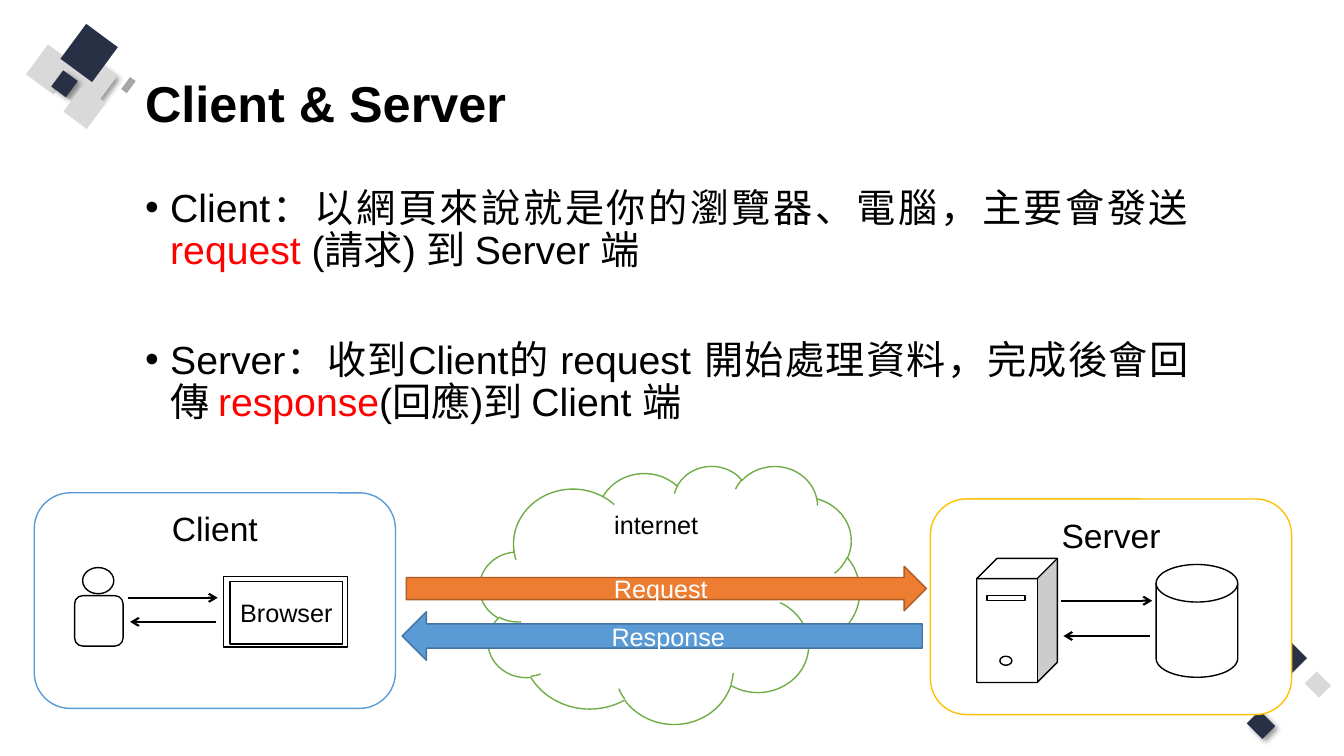
from lxml import etree
from pptx import Presentation
from pptx.dml.color import RGBColor
from pptx.enum.shapes import MSO_CONNECTOR as Link, MSO_SHAPE as Kind
from pptx.enum.text import MSO_ANCHOR as Anchor, PP_ALIGN as Align
from pptx.oxml import parse_xml
from pptx.oxml.ns import nsdecls, qn
from pptx.util import Pt

hue = RGBColor.from_string
NAVY, PALE, GRAY = "273045", "D9D9D9", "A6A6A6"
BLACK, WHITE, RED = "000000", "FFFFFF", "FF0000"

deck = Presentation()
deck.slide_width, deck.slide_height = Pt(960), Pt(540)
slide = deck.slides.add_slide(deck.slide_layouts[6])


def draw(kind, box, fill, line=None, text="", size=18, ink=BLACK, anchor=Anchor.MIDDLE):
    shape = slide.shapes.add_shape(kind, *map(Pt, box))
    shape.shadow.inherit = False
    shape.fill.solid()
    shape.fill.fore_color.rgb = hue(fill)
    if line:
        shape.line.color.rgb = hue(line)
        shape.line.width = Pt(1)
    else:
        shape.line.fill.background()
    if text:
        frame = shape.text_frame
        frame.word_wrap = True
        frame.vertical_anchor = anchor
        para = frame.paragraphs[0]
        para.text = text
        para.alignment = Align.CENTER
        style(para.font, size, ink)
    return shape


def style(font, size, ink):
    font.name = "Arial"
    font.size = Pt(size)
    font.color.rgb = hue(ink)


tiles = [
    (86.4, 58.3, 10.8, 5, 306.4, GRAY, False),
    (23, 37.4, 26.6, 24.5, 306.4, PALE, False),
    (57.6, 47.5, 22.3, 20.2, 306.4, PALE, True),
    (49.7, 43.9, 13.7, 12.2, 306.4, PALE, False),
    (40.3, 47.5, 23.8, 21.6, 306.4, PALE, False),
    (38.9, 53.3, 14.4, 13, 306.4, NAVY, True),
    (48.2, 23.8, 31, 28.1, 306.4, NAVY, False),
    (49, 66.2, 23, 20.9, 306.4, PALE, False),
    (914.4, 460.1, 15.1, 18, 315, NAVY, False),
    (935.3, 481.7, 12.2, 14.4, 315, PALE, False),
    (894.2, 509.8, 13, 15.8, 135, NAVY, True),
]
for *box, turn, fill, shade in tiles:
    tile = draw(Kind.RECTANGLE, box, fill)
    tile.rotation = turn
    if shade:
        glow = tile._element.spPr.find(qn("a:effectLst"))
        glow.append(parse_xml(
            f'<a:outerShdw {nsdecls("a")} blurRad="{Pt(4)}" dist="{Pt(3)}" dir="2700000" '
            'algn="tl" rotWithShape="0"><a:srgbClr val="000000"><a:alpha val="40000"/>'
            '</a:srgbClr></a:outerShdw>'))

title = slide.shapes.add_textbox(Pt(96.5), Pt(28.8), Pt(759.6), Pt(93.6)).text_frame
title.word_wrap = True
title.vertical_anchor = Anchor.MIDDLE
head = title.paragraphs[0]
head.text = "Client & Server"
head.line_spacing = 0.9
style(head.font, 36, BLACK)
head.font.bold = True

points = [
    (10, [("Client：以網頁來說就是你的瀏覽器、電腦，主要會發送", BLACK),
          ("request ", RED), ("(請求) 到 Server 端", BLACK)]),
    (48, [("Server：收到Client的 request 開始處理資料，完成後會回傳 ", BLACK),
          ("response", RED), ("(回應)到 Client 端", BLACK)]),
]
body = slide.shapes.add_textbox(Pt(96.5), Pt(131), Pt(759.6), Pt(355)).text_frame
body.word_wrap = True
for num, (gap, parts) in enumerate(points):
    para = body.add_paragraph() if num else body.paragraphs[0]
    para.alignment = Align.JUSTIFY
    para.line_spacing = 0.9
    para.space_before = Pt(gap)
    props = para._p.get_or_add_pPr()
    props.set("marL", str(Pt(18)))
    props.set("indent", str(-Pt(18)))
    etree.SubElement(props, qn("a:buFont")).set("typeface", "Arial")
    etree.SubElement(props, qn("a:buChar")).set("char", "•")
    for text, ink in parts:
        run = para.add_run()
        run.text = text
        style(run.font, 28, ink)

TOP = Anchor.TOP
draw(Kind.ROUNDED_RECTANGLE, (24.5, 352, 258, 154), WHITE, "5B9BD5", "Client", 24, anchor=TOP)
draw(Kind.CLOUD, (342.7, 332.6, 271.4, 184.3), WHITE, "70AD47", "internet", anchor=TOP)
draw(Kind.ROUNDED_RECTANGLE, (664.6, 356.4, 258, 154), WHITE, "FFC000", "Server", 24, anchor=TOP)
draw(Kind.RECTANGLE, (159.8, 411.8, 88.6, 50.4), WHITE, BLACK)
draw(Kind.RECTANGLE, (164.2, 415.4, 80.6, 44.6), WHITE, BLACK, "Browser")
draw(Kind.RIGHT_ARROW, (290.2, 404.6, 371.5, 31.7), "ED7D31", "AF5C24", "Request", ink=WHITE)
draw(Kind.LEFT_ARROW, (287.3, 437, 371.5, 34.6), "5B9BD5", "43739E", "Response", ink=WHITE)

parts = [
    (Kind.OVAL, 59, 405.4, 22.3, 18.7),
    (Kind.ROUNDED_RECTANGLE, 53.3, 425.5, 34.6, 36),
    (Kind.CUBE, 697.7, 398.9, 57.6, 88.6),
    (Kind.OVAL, 714.2, 468.7, 8.6, 6.5),
    (Kind.RECTANGLE, 704.9, 425.5, 27.4, 3.6),
    (Kind.FLOWCHART_MAGNETIC_DISK, 825.8, 403.2, 58.3, 80.6),
]
for kind, *box in parts:
    draw(kind, box, WHITE, BLACK)

arrows = [(758.2, 823, 429.1), (821.5, 759.6, 454.3), (91.4, 155.5, 427), (154.1, 92.9, 444.2)]
for start, end, y in arrows:
    arrow = slide.shapes.add_connector(Link.STRAIGHT, Pt(start), Pt(y), Pt(end), Pt(y))
    arrow.line.color.rgb = hue(BLACK)
    arrow.line.width = Pt(1.5)
    etree.SubElement(arrow.line._get_or_add_ln(), qn("a:tailEnd")).set("type", "arrow")
    etree.SubElement(arrow._element.spPr, qn("a:effectLst"))

deck.save("out.pptx")
